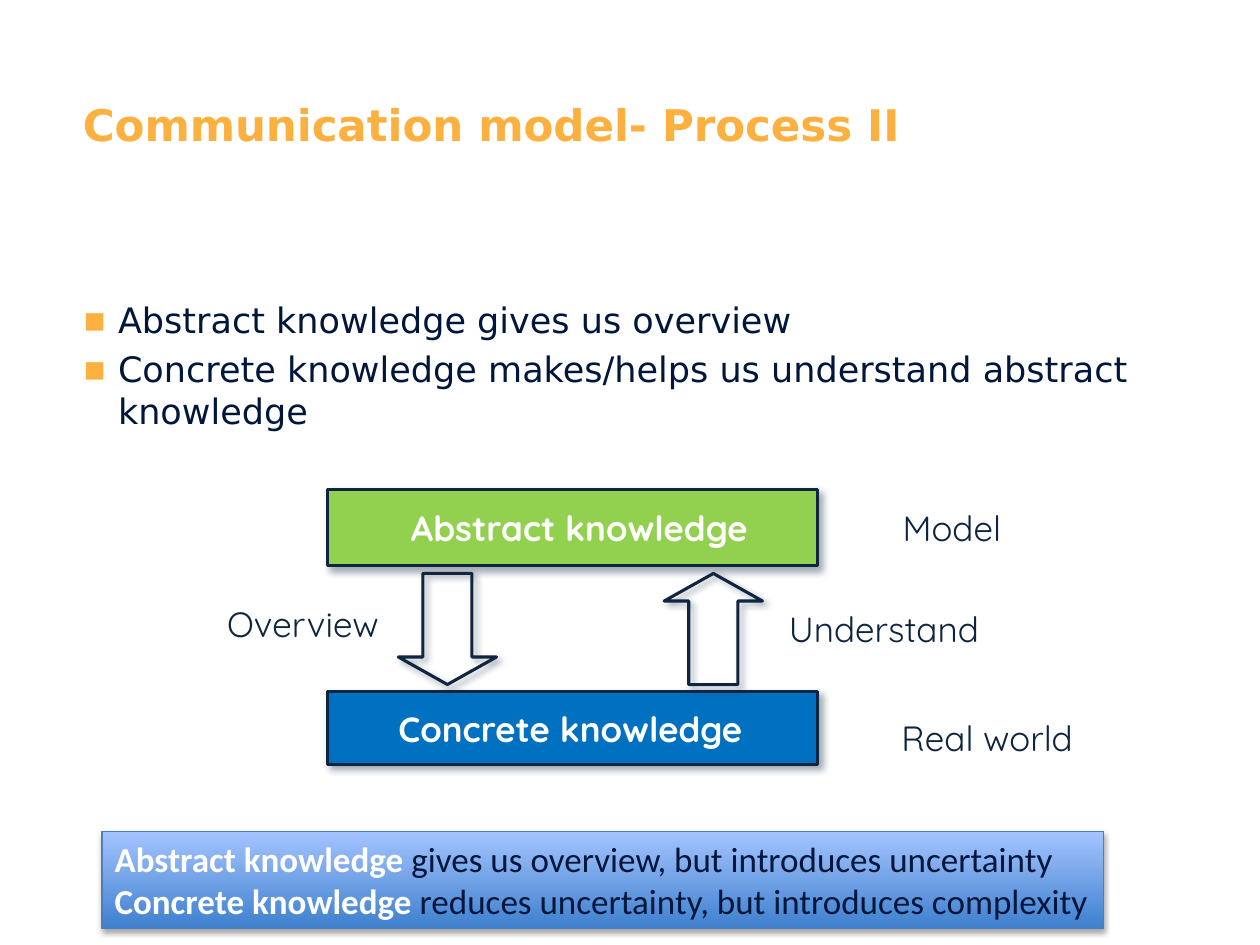
from lxml.etree import SubElement
from pptx import Presentation
from pptx.dml.color import RGBColor
from pptx.enum.shapes import MSO_SHAPE
from pptx.enum.text import MSO_ANCHOR, PP_ALIGN
from pptx.oxml.ns import qn
from pptx.util import Cm, Pt

NAVY, INK, AMBER, WHITE = "10253F", "00163B", "FBB040", "FFFFFF"


def color(code):
    """Return the colour of a hex string."""
    return RGBColor.from_string(code)


def add_run(para, text, font, code, size=20, bold=False):
    """Add one styled run to a paragraph."""
    run = para.add_run()
    run.text = text
    run.font.name = font
    run.font.size = Pt(size)
    run.font.bold = bold
    run.font.color.rgb = color(code)


def add_text(slide, left, top, width, height, wrap=True):
    """Add an empty text box and return its frame."""
    frame = slide.shapes.add_textbox(Cm(left), Cm(top), Cm(width), Cm(height)).text_frame
    frame.word_wrap = wrap
    return frame


def add_label(slide, text, left, top, width, code="0F243E", bold=False):
    """Add a centred one-line diagram label."""
    frame = add_text(slide, left, top, width, 1.12, False)
    frame.vertical_anchor = MSO_ANCHOR.MIDDLE
    para = frame.paragraphs[0]
    para.alignment = PP_ALIGN.CENTER
    add_run(para, text, "Quicksand", code, bold=bold)


def add_bullet(para, text):
    """Fill a paragraph as a hanging item with an amber square."""
    para.space_before = Pt(4)
    props = para._p.get_or_add_pPr()
    props.set("marL", str(Cm(0.71)))
    props.set("indent", str(-Cm(0.71)))
    tint = SubElement(props, qn("a:buClr"))
    SubElement(tint, qn("a:srgbClr"), val=AMBER)
    SubElement(props, qn("a:buFont"), typeface="DejaVu Sans")
    SubElement(props, qn("a:buChar"), char="▪")
    add_run(para, text, "DejaVu Sans", INK)


def add_shadow(shape, code, alpha, blur, dist, angle):
    """Give a shape an outer shadow."""
    shape.shadow.inherit = False
    effects = shape._element.spPr.find(qn("a:effectLst"))
    outer = SubElement(effects, qn("a:outerShdw"), blurRad=str(Pt(blur)),
                       dist=str(Pt(dist)), dir=str(angle * 60000), rotWithShape="0")
    tint = SubElement(outer, qn("a:srgbClr"), val=code)
    SubElement(tint, qn("a:alpha"), val=str(alpha * 1000))


def add_block(slide, kind, left, top, width, height, fill=None):
    """Add an outlined shape with a soft navy shadow."""
    shape = slide.shapes.add_shape(kind, Cm(left), Cm(top), Cm(width), Cm(height))
    if fill:
        shape.fill.solid()
        shape.fill.fore_color.rgb = color(fill)
    else:
        shape.fill.background()
    shape.line.color.rgb = color(NAVY)
    shape.line.width = Pt(1.75)
    add_shadow(shape, NAVY, 40, 4, 3, 45)
    return shape


def add_arrow(slide, left, turn):
    """Add a block arrow between the two boxes."""
    arrow = add_block(slide, MSO_SHAPE.DOWN_ARROW, left, 11.56, 1.98, 2.24)
    arrow.adjustments[0] = 0.5
    arrow.adjustments[1] = 0.28
    arrow.rotation = turn


def add_banner(slide, lines):
    """Add the gradient summary box with a bold lead on each line."""
    shape = slide.shapes.add_shape(MSO_SHAPE.RECTANGLE, Cm(2.06), Cm(16.76), Cm(20.19), Cm(1.96))
    shape.fill.gradient()
    shape.fill.gradient_angle = 90
    for stop, code, place in zip(shape.fill.gradient_stops, ("3F80CE", "A4C4FF"), (0, 1)):
        stop.color.rgb = color(code)
        stop.position = place
    shape.line.color.rgb = color("4B7EBC")
    shape.line.width = Pt(0.75)
    add_shadow(shape, "000000", 35, 3.1, 1.8, 90)
    frame = shape.text_frame
    frame.word_wrap = False
    frame.vertical_anchor = MSO_ANCHOR.TOP
    for i, (lead, rest) in enumerate(lines):
        para = frame.add_paragraph() if i else frame.paragraphs[0]
        para.alignment = PP_ALIGN.LEFT
        add_run(para, lead, "Calibri", WHITE, bold=True)
        add_run(para, rest, "Calibri", INK)


def main():
    """Build the slide and save it."""
    deck = Presentation()
    deck.slide_width, deck.slide_height = Cm(25.4), Cm(19.05)
    slide = deck.slides.add_slide(deck.slide_layouts[6])

    title = add_text(slide, 1.42, 1.85, 22.45, 3.18)
    add_run(title.paragraphs[0], "Communication model- Process II", "DejaVu Sans", AMBER, 24.9, True)

    body = add_text(slide, 1.42, 5.89, 22.45, 10.49)
    add_bullet(body.paragraphs[0], "Abstract knowledge gives us overview")
    add_bullet(body.add_paragraph(), "Concrete knowledge makes/helps us understand abstract knowledge")

    add_banner(slide, [
        ("Abstract knowledge ", "gives us overview, but introduces uncertainty"),
        ("Concrete knowledge ", "reduces uncertainty, but introduces complexity"),
    ])

    add_block(slide, MSO_SHAPE.RECTANGLE, 6.6, 9.86, 9.88, 1.55, "92D050")
    add_block(slide, MSO_SHAPE.RECTANGLE, 6.6, 13.94, 9.88, 1.47, "0070C0")
    add_label(slide, "Abstract knowledge", 7.92, 10.08, 7.52, WHITE, True)
    add_label(slide, "Concrete knowledge", 7.54, 14.12, 7.92, WHITE, True)
    add_arrow(slide, 8.03, 0)
    add_arrow(slide, 13.39, 180)
    add_label(slide, "Overview", 4.22, 12.01, 3.78)
    add_label(slide, "Understand", 15.57, 12.12, 4.5)
    add_label(slide, "Model", 17.83, 10.08, 2.72)
    add_label(slide, "Real world", 17.83, 14.3, 4.14)
    deck.save("out.pptx")


if __name__ == "__main__":
    main()
